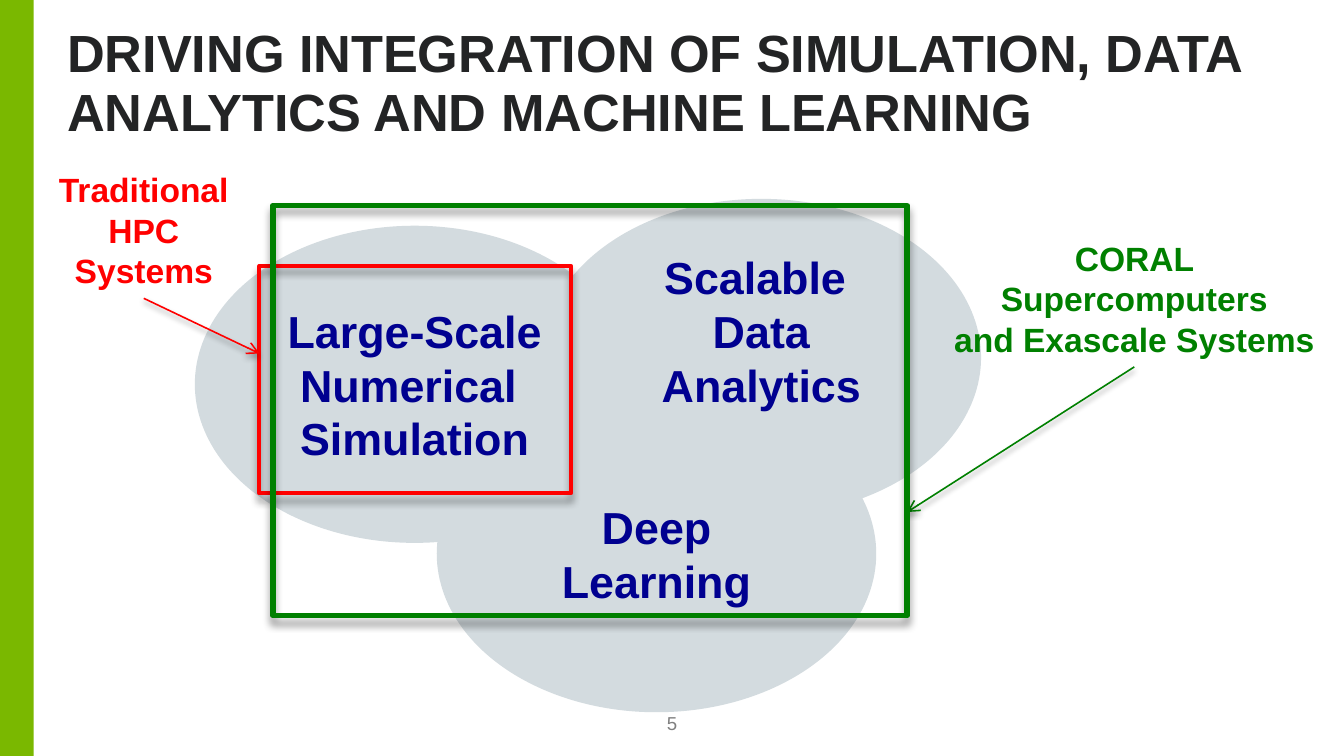
from lxml import etree
from pptx import Presentation
from pptx import util as u
from pptx.dml.color import RGBColor
from pptx.enum import shapes, text
from pptx.oxml import ns

COLORS = {
    "bar": "7AB800", "white": "FFFFFF", "title": "232425", "number": "808080",
    "cloud": "D3DBDF", "navy": "000090", "red": "FF0000", "green": "008000",
}
LEFT, CENTER = text.PP_ALIGN.LEFT, text.PP_ALIGN.CENTER
TOP, MIDDLE, BOTTOM = text.MSO_ANCHOR.TOP, text.MSO_ANCHOR.MIDDLE, text.MSO_ANCHOR.BOTTOM
RECT, OVAL = shapes.MSO_SHAPE.RECTANGLE, shapes.MSO_SHAPE.OVAL


class Painter:
    """Draws styled elements on a slide divided into 100 columns of square cells."""

    font = "Arial"
    padding = (1, 0.5, 1, 0.5)

    def __init__(self, deck):
        self.page = deck.slides.add_slide(deck.slide_layouts[6])
        self.cell = deck.slide_width / 100

    def cells(self, *counts):
        return [round(count * self.cell) for count in counts]

    def color(self, name):
        return RGBColor.from_string(COLORS[name])

    def set_text(self, shape, lines, size, color, bold=True, align=CENTER, anchor=TOP,
                 padding=padding, wrap=True, spacing=None):
        frame = shape.text_frame
        frame.word_wrap, frame.vertical_anchor = wrap, anchor
        (frame.margin_left, frame.margin_top,
         frame.margin_right, frame.margin_bottom) = self.cells(*padding)
        for index, line in enumerate(lines):
            para = frame.add_paragraph() if index else frame.paragraphs[0]
            para.alignment, para.line_spacing = align, spacing
            span = para.add_run()
            span.text = line
            span.font.name, span.font.size, span.font.bold = self.font, u.Pt(size), bold
            span.font.color.rgb = self.color(color)

    def label(self, at, lines, size, color, fill=None, **style):
        box = self.page.shapes.add_textbox(*self.cells(*at))
        if fill:
            box.fill.solid()
            box.fill.fore_color.rgb = self.color(fill)
        self.set_text(box, lines, size, color, **style)
        return box

    def solid(self, at, fill, kind=RECT, parent=None):
        shape = (parent or self.page).shapes.add_shape(kind, *self.cells(*at))
        shape.shadow.inherit = False
        shape.fill.solid()
        shape.fill.fore_color.rgb = self.color(fill)
        shape.line.fill.background()
        return shape

    def clouds(self, size, items):
        group = self.page.shapes.add_group_shape()
        for corner, lines, padding in items:
            oval = self.solid(corner + size, "cloud", OVAL, group)
            self.set_text(oval, lines, 24, "navy", anchor=MIDDLE, padding=padding)

    def shade(self, shape, blur, distance):
        effects = etree.SubElement(shape.element.spPr, ns.qn("a:effectLst"))
        shadow = etree.SubElement(
            effects, ns.qn("a:outerShdw"), blurRad=str(int(u.Pt(blur))),
            dist=str(int(u.Pt(distance))), dir="5400000", rotWithShape="0")
        black = etree.SubElement(shadow, ns.qn("a:srgbClr"), val="000000")
        etree.SubElement(black, ns.qn("a:alpha"), val="40000")

    def frame(self, at, color, width):
        box = self.page.shapes.add_shape(RECT, *self.cells(*at))
        box.fill.background()
        box.line.color.rgb, box.line.width = self.color(color), u.Pt(width)
        self.shade(box, 4, 3.4)

    def arrow(self, source, end, color):
        line = self.page.shapes.add_connector(
            shapes.MSO_CONNECTOR.STRAIGHT, 0, 0, *self.cells(*end))
        line.begin_connect(source, 2)
        line.line.color.rgb, line.line.width = self.color(color), u.Pt(0.85)
        stroke = line.element.spPr.find(ns.qn("a:ln"))
        etree.SubElement(stroke, ns.qn("a:tailEnd"), type="arrow")
        self.shade(line, 3, 2)


def main():
    deck = Presentation()
    deck.slide_width = u.Inches(10)
    deck.slide_height = deck.slide_width * 9 // 16
    page = Painter(deck)

    page.solid((0, 0, 2.5, 56.25), "bar")
    traditional = page.label((3.3, 12.1, 14.8, 10.1), ["Traditional", "HPC", "Systems"],
                             18, "red", fill="white", wrap=False)
    page.label((5, 3.9, 91.6, 6.8),
               ["DRIVING INTEGRATION OF SIMULATION, DATA ANALYTICS AND MACHINE LEARNING"],
               28, "title", align=LEFT, anchor=BOTTOM, padding=(0, 0, 0, 0), spacing=0.95)
    page.label((47.5, 53.1, 5, 1.5), ["5"], 10, "number", bold=False,
               anchor=BOTTOM, padding=(0, 0.5, 0, 0))
    page.clouds((32.7, 23.6), [
        ((32.5, 29.4), ["Deep", "Learning"], page.padding),
        ((14.5, 16.8), ["Large-Scale", "Numerical ", "Simulation"], page.padding),
        ((40.3, 14.8), ["Scalable ", "Data Analytics"], (1, 0.5, 1, 4.5)),
    ])
    coral = page.label((68.9, 17.2, 31, 10.1),
                       ["CORAL Supercomputers", "and Exascale Systems"], 18, "green")
    page.arrow(coral, (67.5, 38.1), "green")
    page.frame((19.3, 19.8, 23.2, 16.9), "red", 2.25)
    page.arrow(traditional, (19.3, 26.3), "red")
    page.frame((20.3, 15.3, 47.2, 30.5), "green", 3)
    deck.save("out.pptx")


if __name__ == "__main__":
    main()
